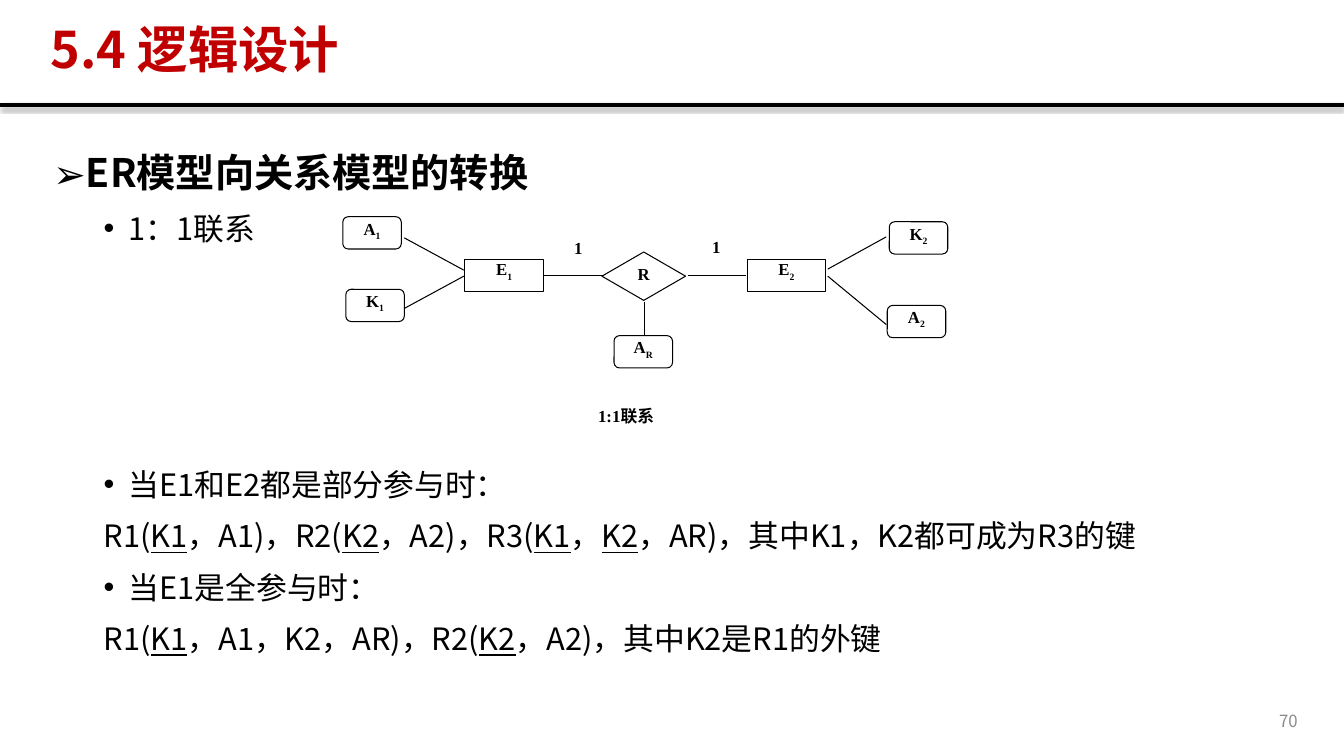
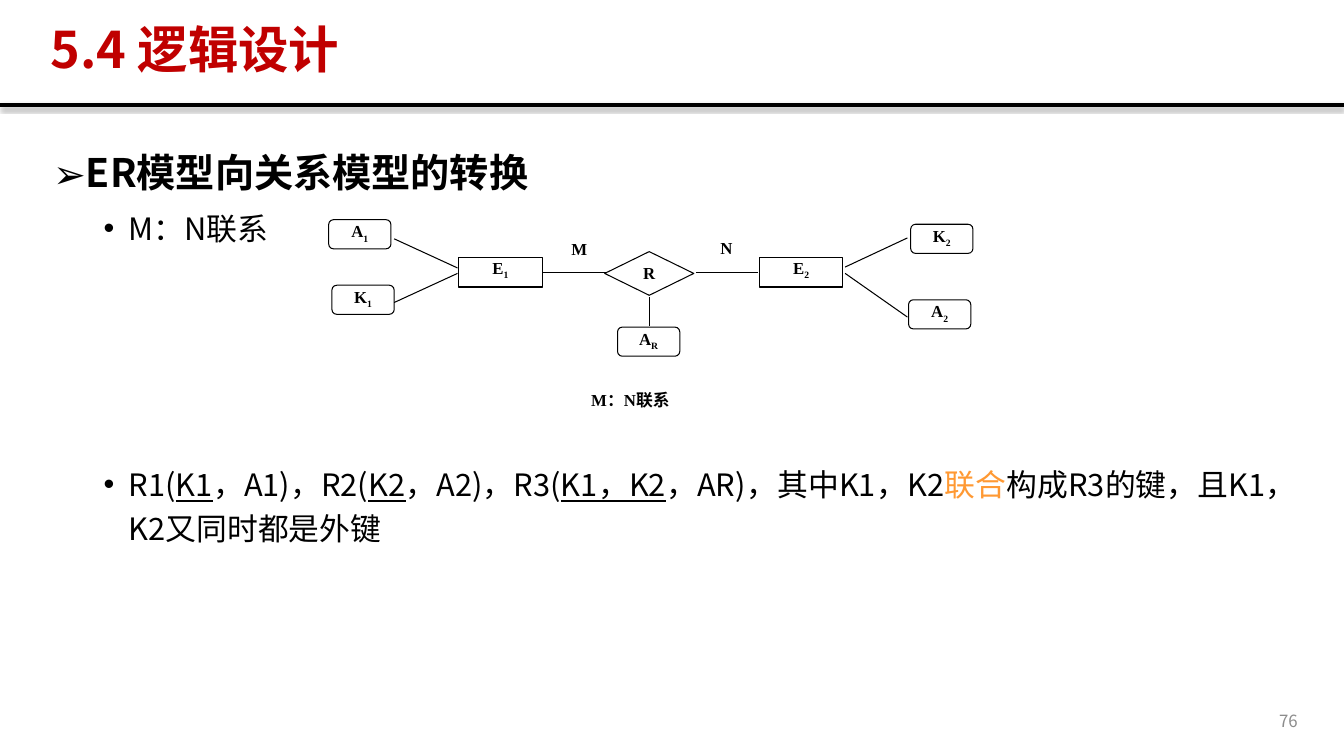
"""Build two slides on converting an ER model into relations."""
from lxml import etree
from pptx import Presentation
from pptx import util as u
from pptx.dml.color import RGBColor
from pptx.enum import shapes, text
from pptx.oxml.ns import qn

COLORS = {"ink": "000000", "paper": "FFFFFF", "title": "C00000", "accent": "FF9933", "number": "8C8C8C"}
SANS = "Noto Sans CJK SC"
STYLES = {
    "title": {"size": u.Pt(36), "name": SANS, "bold": True, "color": "title"},
    "heading": {"size": u.Pt(28), "name": SANS, "bold": True, "color": "ink"},
    "body": {"size": u.Pt(22), "name": SANS, "bold": False, "color": "ink"},
    "number": {"size": u.Pt(12), "name": SANS, "bold": False, "color": "number"},
    "diagram": {"size": u.Pt(12), "name": "Times New Roman", "bold": True, "color": "ink"},
}
KEY = {"underline": True}
ACCENT = {"color": "accent"}
SUBSCRIPT = {"baseline": "-25000"}

LEVELS = {
    "heading": {"style": "heading", "margin": 0.25, "indent": -0.25, "before": 10, "bullet": "➢", "font": SANS},
    "item": {"style": "body", "margin": 0.75, "indent": -0.25, "before": 5, "bullet": "•", "font": "Arial"},
    "formula": {"style": "body", "margin": 0.5, "indent": 0, "before": 5, "bullet": None},
}
DIAGRAM_GAP = 151

KINDS = {
    "entity": (shapes.MSO_SHAPE.RECTANGLE, 0.78, 0.32),
    "relation": (shapes.MSO_SHAPE.DIAMOND, 0.83, 0.48),
    "attribute": (shapes.MSO_SHAPE.ROUNDED_RECTANGLE, 0.58, 0.32),
    "label": (shapes.MSO_SHAPE.RECTANGLE, 0.19, 0.32),
    "caption": (shapes.MSO_SHAPE.RECTANGLE, 4.58, 0.39),
}
NODES = [
    ("entity", 1.21, 0.42, "E", "1"),
    ("relation", 2.57, 0.35, "R", ""),
    ("attribute", 0.03, 0.72, "K", "1"),
    ("attribute", 0, 0, "A", "1"),
    ("attribute", 2.69, 1.18, "A", "R"),
    ("attribute", 5.4, 0.88, "A", "2"),
    ("attribute", 5.42, 0.05, "K", "2"),
    ("entity", 4.01, 0.42, "E", "2"),
]
LINKS = [
    (2, 0.58, 2.59, 0.58),
    (3.42, 0.58, 4, 0.58),
    (1.2, 0.53, 0.61, 0.21),
    (1.2, 0.59, 0.61, 0.91),
    (4.81, 0.52, 5.39, 0.2),
    (4.81, 0.59, 5.39, 1.07),
    (2.99, 0.85, 2.99, 1.17),
]
DIAGRAM_SIZE = (6, 2.26)

SLIDES = [
    {
        "number": "70",
        "kind": "1：1联系",
        "frame": (3.4, 2.15, 6, 2.26),
        "labels": ("1", "1", "1:1联系"),
        "paragraphs": [
            ("item", [("当E1和E2都是部分参与时：", {})]),
            ("formula", [("R1(", {}), ("K1", KEY), ("，A1)，R2(", {}), ("K2", KEY), ("，A2)，R3(", {}),
                         ("K1", KEY), ("，", {}), ("K2", KEY), ("，AR)，其中K1，K2都可成为R3的键", {})]),
            ("item", [("当E1是全参与时：", {})]),
            ("formula", [("R1(", {}), ("K1", KEY), ("，A1，K2，AR)，R2(", {}), ("K2", KEY),
                         ("，A2)，其中K2是R1的外键", {})]),
        ],
    },
    {
        "number": "76",
        "kind": "M：N联系",
        "frame": (3.26, 2.18, 6.39, 2.04),
        "labels": ("M", "N", "M：N联系"),
        "paragraphs": [
            ("item", [("R1(", {}), ("K1", KEY), ("，A1)，R2(", {}), ("K2", KEY), ("，A2)，R3(", {}),
                      ("K1，K2", KEY), ("，AR)，其中K1，K2", {}), ("联合", ACCENT),
                      ("构成R3的键，且K1，K2又同时都是外键", {})]),
        ],
    },
]


def write(para, style, spans):
    """Add formatted spans to a paragraph."""
    for content, changes in spans:
        span = para.add_run()
        span.text = content
        for name, value in {**STYLES[style], **changes}.items():
            if name == "color":
                span.font.color.rgb = RGBColor.from_string(COLORS[value])
            elif name == "baseline":
                span.font._element.set("baseline", value)
            else:
                setattr(span.font, name, value)
        etree.SubElement(span.font._element, qn("a:ea"), typeface=SANS)


def connect(parent, ends, width):
    """Draw a plain line and return its empty effect list."""
    line = parent.add_connector(shapes.MSO_CONNECTOR.STRAIGHT, *[u.Inches(end) for end in ends])
    line.line.color.rgb = RGBColor.from_string(COLORS["ink"])
    line.line.width = u.Pt(width)
    return etree.SubElement(line._element.spPr, qn("a:effectLst"))


deck = Presentation()
deck.slide_width, deck.slide_height = u.Inches(13.33), u.Inches(7.5)

for content in SLIDES:
    page = deck.slides.add_slide(deck.slide_layouts[5])

    effects = connect(page.shapes, (0, 1.04, 13.33, 1.04), 3)
    shadow = etree.SubElement(effects, qn("a:outerShdw"), blurRad="40000", dist="23000",
                              dir="5400000", rotWithShape="0")
    shade = etree.SubElement(shadow, qn("a:srgbClr"), val=COLORS["ink"])
    etree.SubElement(shade, qn("a:alpha"), val="35000")

    title = page.shapes.title
    title.left, title.top, title.width, title.height = [u.Inches(v) for v in (0.4, 0.19, 11.7, 0.65)]
    title.text_frame.vertical_anchor = text.MSO_ANCHOR.MIDDLE
    title.text_frame.auto_size = text.MSO_AUTO_SIZE.SHAPE_TO_FIT_TEXT
    para = title.text_frame.paragraphs[0]
    para.alignment, para.line_spacing = text.PP_ALIGN.JUSTIFY, 0.9
    write(para, "title", [("5.4 逻辑设计", {})])

    body = page.shapes.add_textbox(*[u.Inches(v) for v in (0.43, 1.33, 12.53, 5.42)]).text_frame
    body.word_wrap = True
    paragraphs = [
        ("heading", [("ER模型向关系模型的转换", {})]),
        ("item", [(content["kind"], {})]),
        *content["paragraphs"],
    ]
    for index, (name, spans) in enumerate(paragraphs):
        level = LEVELS[name]
        para = body.add_paragraph() if index else body.paragraphs[0]
        props = para._p.get_or_add_pPr()
        props.set("marL", str(u.Inches(level["margin"])))
        props.set("indent", str(u.Inches(level["indent"])))
        if level["bullet"]:
            etree.SubElement(props, qn("a:buFont"), typeface=level["font"])
            etree.SubElement(props, qn("a:buChar"), char=level["bullet"])
        para.alignment, para.line_spacing = text.PP_ALIGN.JUSTIFY, 1.2
        if index:
            para.space_before = u.Pt(DIAGRAM_GAP if index == 2 else level["before"])
        write(para, level["style"], spans)

    number = page.shapes.add_textbox(*[u.Inches(v) for v in (9.97, 6.95, 3, 0.4)]).text_frame
    number.word_wrap = True
    number.vertical_anchor = text.MSO_ANCHOR.MIDDLE
    number.paragraphs[0].alignment = text.PP_ALIGN.RIGHT
    write(number.paragraphs[0], "number", [(content["number"], {})])

    left, top, width, height = content["frame"]
    across, down = width / DIAGRAM_SIZE[0], height / DIAGRAM_SIZE[1]
    near, far, caption = content["labels"]
    labels = [
        ("label", 2.24, 0.21, near, ""),
        ("label", 3.61, 0.2, far, ""),
        ("caption", 0.52, 1.87, caption, ""),
    ]
    diagram = page.shapes.add_group_shape().shapes
    for kind, x, y, name, subscript in NODES + labels:
        preset, wide, high = KINDS[kind]
        box = diagram.add_shape(preset, u.Inches(left + x * across), u.Inches(top + y * down),
                                u.Inches(wide * across), u.Inches(high * down))
        box.shadow.inherit = False
        box.fill.solid()
        box.fill.fore_color.rgb = RGBColor.from_string(COLORS["paper"])
        if kind in ("label", "caption"):
            box.line.fill.background()
        else:
            box.line.color.rgb = RGBColor.from_string(COLORS["ink"])
            box.line.width = u.Pt(0.75)
        frame = box.text_frame
        frame.vertical_anchor = text.MSO_ANCHOR.TOP
        for side in ("left", "top", "right", "bottom"):
            setattr(frame, f"margin_{side}", 0)
        frame.paragraphs[0].alignment = text.PP_ALIGN.CENTER
        spans = [(name, {})] + ([(subscript, SUBSCRIPT)] if subscript else [])
        write(frame.paragraphs[0], "diagram", spans)

    for x1, y1, x2, y2 in LINKS:
        connect(diagram, (left + x1 * across, top + y1 * down, left + x2 * across, top + y2 * down), 0.75)

deck.save("out.pptx")
